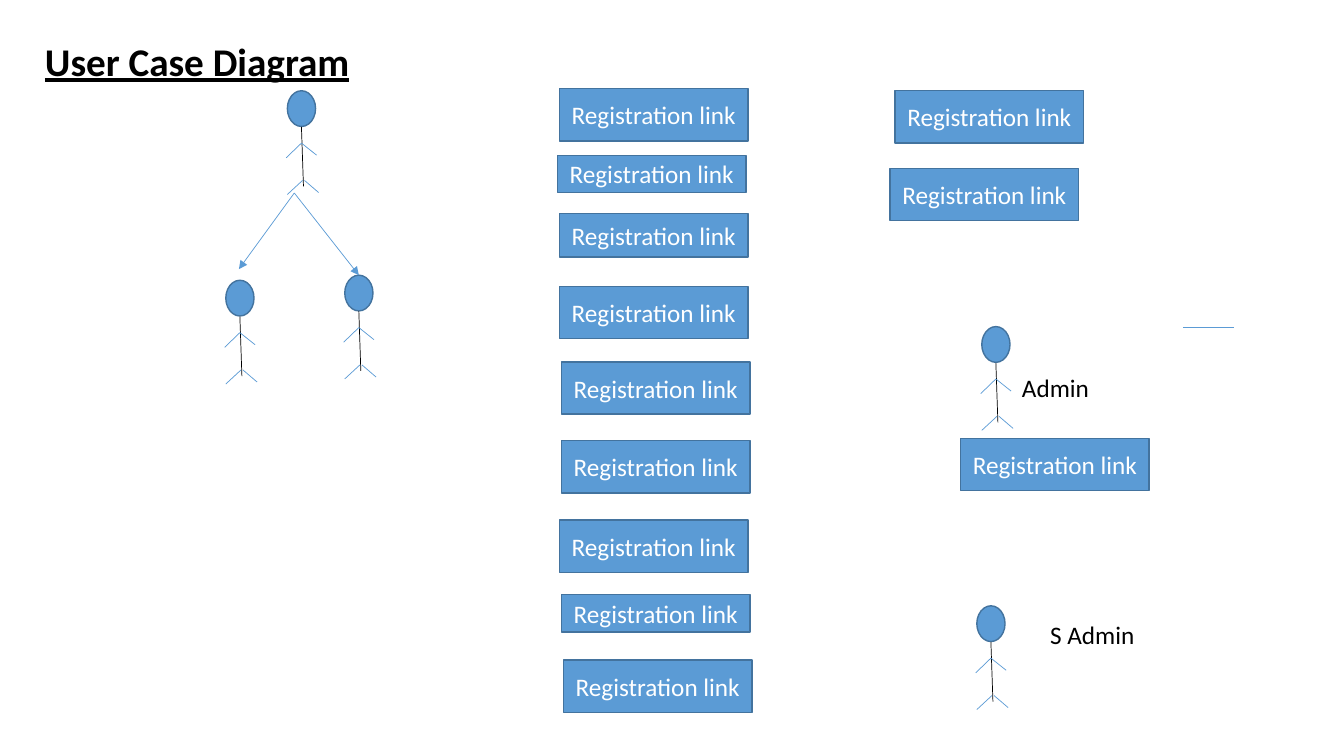
from dataclasses import dataclass

from lxml.etree import SubElement
from pptx import Presentation
from pptx.dml.color import RGBColor
from pptx.enum.shapes import MSO_CONNECTOR, MSO_SHAPE
from pptx.enum.text import MSO_ANCHOR, MSO_AUTO_SIZE, PP_ALIGN
from pptx.oxml.ns import qn
from pptx.util import Inches, Pt


@dataclass(frozen=True)
class Theme:
    font: str = "Calibri"
    title_size: float = 28
    text_size: float = 18
    ink: str = "000000"
    white: str = "FFFFFF"
    blue: str = "5B9BD5"
    edge: str = "43739E"
    thin: float = 0.5
    outline: float = 1


THEME = Theme()
WIDTH, HEIGHT = Inches(13.33), Inches(7.5)

# All places and sizes are percentages of the slide's width and height.
LINK_WIDTH, TALL, MEDIUM, LOW = 14.03, 6.93, 5.73, 4.93
LINKS = [  # left, top, height
    (41.63, 11.73, TALL), (41.48, 20.53, LOW), (41.63, 28.27, MEDIUM),
    (41.63, 37.87, TALL), (41.78, 47.87, TALL), (41.78, 58.27, TALL),
    (41.63, 68.8, TALL), (41.78, 78.67, LOW), (41.93, 87.33, TALL),
    (66.6, 12, TALL), (66.23, 22.27, TALL), (71.48, 58, TALL),
]
ACTORS = [(21.38, 12), (16.8, 37.07), (25.65, 36.4), (73.05, 43.2), (72.68, 80.13)]
HEAD = (2.1, 4.73)
BODY = ((1.05, 4.8), (1.2, 12.67))
LIMBS = [
    ((1.05, 6.93), (-0.08, 8.87)), ((1.05, 6.93), (2.18, 8.53)),
    ((1.13, 11.87), (0, 13.73)), ((1.28, 11.87), (2.33, 13.47)),
]
FORK = (21.9, 25.53)
FORK_ENDS = [(17.78, 35.6), (26.7, 36.4)]
LABELS = [("Admin", (75.3, 48.53, 6.53, 5.33)), ("S Admin", (77.4, 81.2, 7.88, 5.33))]


def across(share):
    return round(WIDTH * share / 100)


def down(share):
    return round(HEIGHT * share / 100)


def box(left, top, width, height):
    return across(left), down(top), across(width), down(height)


def write(sp, text, size, color, align, anchor):
    tf = sp.text_frame
    tf.text = text
    tf.vertical_anchor = anchor
    p = tf.paragraphs[0]
    p.alignment = align
    font = p.runs[0].font
    font.name, font.size = THEME.font, Pt(size)
    font.color.rgb = RGBColor.from_string(color)
    return tf


def add_blue_shape(shapes, kind, place):
    sp = shapes.add_shape(kind, *box(*place))
    sp.shadow.inherit = False
    sp.fill.solid()
    sp.fill.fore_color.rgb = RGBColor.from_string(THEME.blue)
    sp.line.color.rgb = RGBColor.from_string(THEME.edge)
    sp.line.width = Pt(THEME.outline)
    return sp


def add_line(shapes, start, end, color=THEME.blue, arrow=False):
    line = shapes.add_connector(MSO_CONNECTOR.STRAIGHT, across(start[0]), down(start[1]),
                                across(end[0]), down(end[1]))
    line.line.color.rgb = RGBColor.from_string(color)
    line.line.width = Pt(THEME.thin)
    if arrow:
        SubElement(line.line._get_or_add_ln(), qn("a:tailEnd"), type="triangle")
    SubElement(line._element.spPr, qn("a:effectLst"))


def add_actor(slide, left, top):
    """Draw a stick figure as one group, placed by the corner of its head."""
    shapes = slide.shapes.add_group_shape().shapes
    add_blue_shape(shapes, MSO_SHAPE.OVAL, (left, top, *HEAD))
    strokes = [(BODY, THEME.ink)] + [(limb, THEME.blue) for limb in LIMBS]
    for ends, color in strokes:
        start, end = [(left + dx, top + dy) for dx, dy in ends]
        add_line(shapes, start, end, color)


def add_link(slide, left, top, height):
    sp = add_blue_shape(slide.shapes, MSO_SHAPE.RECTANGLE, (left, top, LINK_WIDTH, height))
    write(sp, "Registration link", THEME.text_size, THEME.white,
          PP_ALIGN.CENTER, MSO_ANCHOR.MIDDLE)


def add_label(slide, text, place):
    sp = slide.shapes.add_textbox(*box(*place))
    tf = write(sp, text, THEME.text_size, THEME.ink, PP_ALIGN.LEFT, MSO_ANCHOR.TOP)
    tf.word_wrap = False
    tf.auto_size = MSO_AUTO_SIZE.SHAPE_TO_FIT_TEXT


def add_title(slide, text):
    sp = slide.shapes.add_textbox(*box(0.68, 3.73, 27.98, 8.13))
    tf = write(sp, text, THEME.title_size, THEME.ink, PP_ALIGN.CENTER, MSO_ANCHOR.BOTTOM)
    tf.word_wrap = True
    p = tf.paragraphs[0]
    p.line_spacing = 0.9
    p.runs[0].font.bold = p.runs[0].font.underline = True


def main():
    prs = Presentation()
    prs.slide_width, prs.slide_height = WIDTH, HEIGHT
    slide = prs.slides.add_slide(prs.slide_layouts[6])
    add_title(slide, "User Case Diagram")
    for actor in ACTORS:
        add_actor(slide, *actor)
    for end in FORK_ENDS:
        add_line(slide.shapes, FORK, end, arrow=True)
    add_line(slide.shapes, (91.8, 43.33), (88.05, 43.33))
    for link in LINKS:
        add_link(slide, *link)
    for text, place in LABELS:
        add_label(slide, text, place)
    prs.save("out.pptx")


if __name__ == "__main__":
    main()
